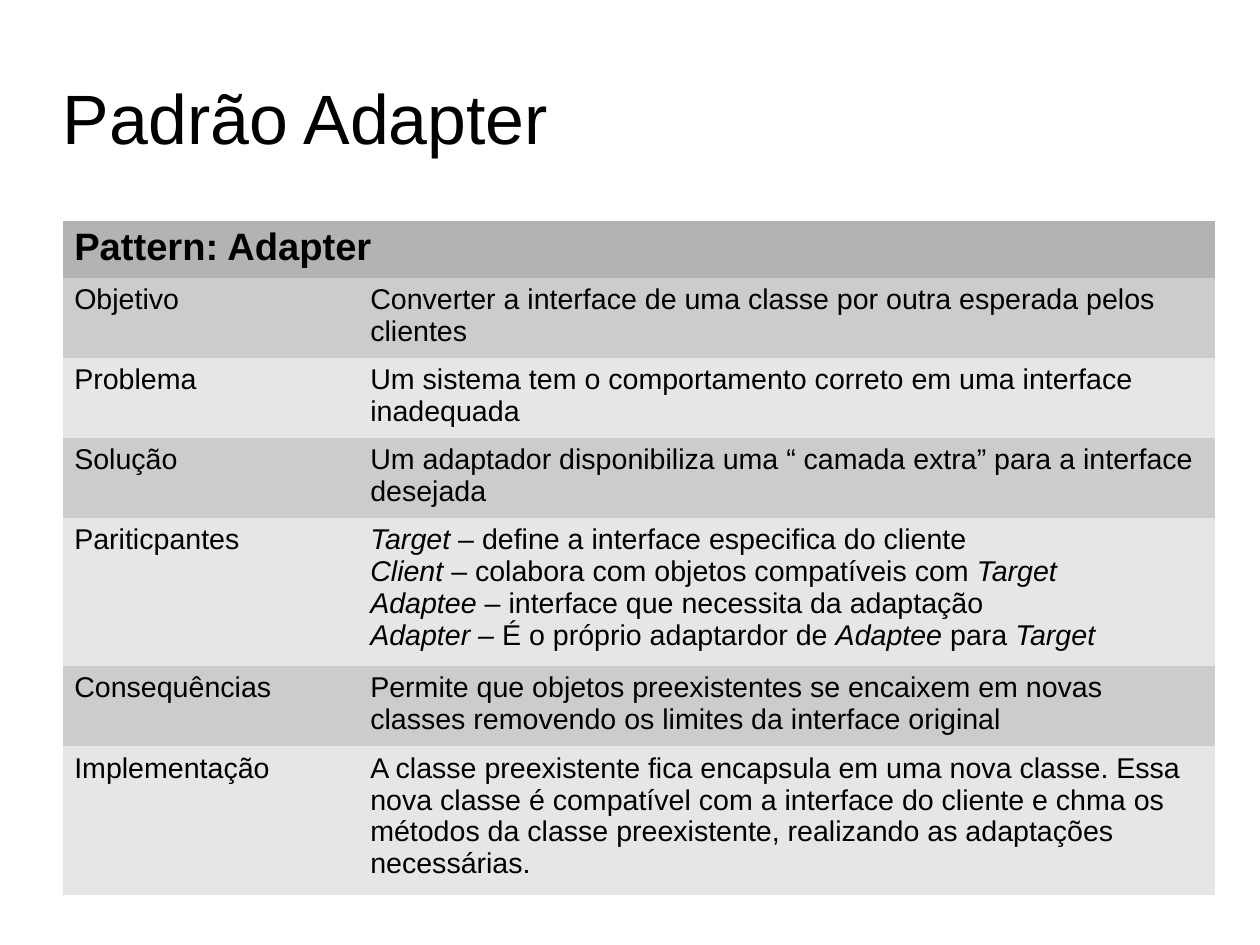
import pptx
import pptx.util
import pptx.oxml.ns
import pptx.dml.color
import pptx.enum.text
from pptx.util import Inches

BLACK = pptx.dml.color.RGBColor(0x00, 0x00, 0x00)
HEADER_GRAY = pptx.dml.color.RGBColor(0xB3, 0xB3, 0xB3)
DARK_BAND = pptx.dml.color.RGBColor(0xCC, 0xCC, 0xCC)
LIGHT_BAND = pptx.dml.color.RGBColor(0xE6, 0xE6, 0xE6)
NO_STYLE_NO_GRID = "{2D5ABB26-0587-4C30-8999-92F81FD0307C}"
CM_PER_INCH = 2.54

PATTERN_ROWS = [
    ("Objetivo", 0.7, ["Converter a interface de uma classe por outra esperada pelos clientes"]),
    ("Problema", 0.7, ["Um sistema tem o comportamento correto em uma interface inadequada"]),
    ("Solução", 0.7, ["Um adaptador disponibiliza uma “ camada extra” para a interface desejada"]),
    ("Pariticpantes", 1.3, [
        "*Target* – define a interface especifica do cliente",
        "*Client* – colabora com objetos compatíveis com *Target*",
        "*Adaptee* – interface que necessita da adaptação",
        "*Adapter – *É o próprio adaptardor de *Adaptee* para *Target*",
    ]),
    ("Consequências", 0.7, [
        "Permite que objetos preexistentes se encaixem em novas classes "
        "removendo os limites da interface original",
    ]),
    ("Implementação", 1.3, [
        "A classe preexistente fica encapsula em uma nova classe. Essa nova classe "
        "é compatível com a interface do cliente e chma os métodos da classe "
        "preexistente, realizando as adaptações necessárias.",
    ]),
]


def format_font(paragraph, size, bold=False):
    paragraph.font.name = "Arial"
    paragraph.font.size = pptx.util.Pt(size)
    paragraph.font.bold = bold
    paragraph.font.color.rgb = BLACK


def fill_cell(cell, lines, color, size=18, bold=False):
    cell.fill.solid()
    cell.fill.fore_color.rgb = color
    for index, line in enumerate(lines):
        text_frame = cell.text_frame
        paragraph = text_frame.add_paragraph() if index else text_frame.paragraphs[0]
        format_font(paragraph, size, bold)
        for position, piece in enumerate(line.split("*")):
            if piece:
                run = paragraph.add_run()
                run.text = piece
                if position % 2:
                    run.font.italic = True


presentation = pptx.Presentation()
presentation.slide_width = Inches(28 / CM_PER_INCH)
presentation.slide_height = Inches(21 / CM_PER_INCH)
slide = presentation.slides.add_slide(presentation.slide_layouts[5])

title = slide.shapes.title
title.left, title.top = Inches(0.55), Inches(0.33)
title.width, title.height = Inches(9.92), Inches(1.38)
title.text = "Padrão Adapter"
title_frame = title.text_frame
title_frame.margin_left = title_frame.margin_right = 0
title_frame.margin_top = title_frame.margin_bottom = 0
title_frame.vertical_anchor = pptx.enum.text.MSO_ANCHOR.MIDDLE
title_frame.paragraphs[0].alignment = pptx.enum.text.PP_ALIGN.LEFT
format_font(title_frame.paragraphs[0], 44)

table_frame = slide.shapes.add_table(
    len(PATTERN_ROWS) + 1, 2, Inches(0.55), Inches(1.93), Inches(10.08), Inches(5.9)
)
table = table_frame.table
table.first_row = False
table.horz_banding = False
table._tbl.tblPr.find(pptx.oxml.ns.qn("a:tableStyleId")).text = NO_STYLE_NO_GRID
table.columns[0].width = Inches(2.59)
table.columns[1].width = Inches(7.49)

table.rows[0].height = Inches(0.5)
table.cell(0, 0).merge(table.cell(0, 1))
fill_cell(table.cell(0, 0), ["Pattern: Adapter"], HEADER_GRAY, 24, True)

for row, (label, height, lines) in enumerate(PATTERN_ROWS, start=1):
    band = DARK_BAND if row % 2 else LIGHT_BAND
    table.rows[row].height = Inches(height)
    fill_cell(table.cell(row, 0), [label], band)
    fill_cell(table.cell(row, 1), lines, band)

presentation.save("out.pptx")
